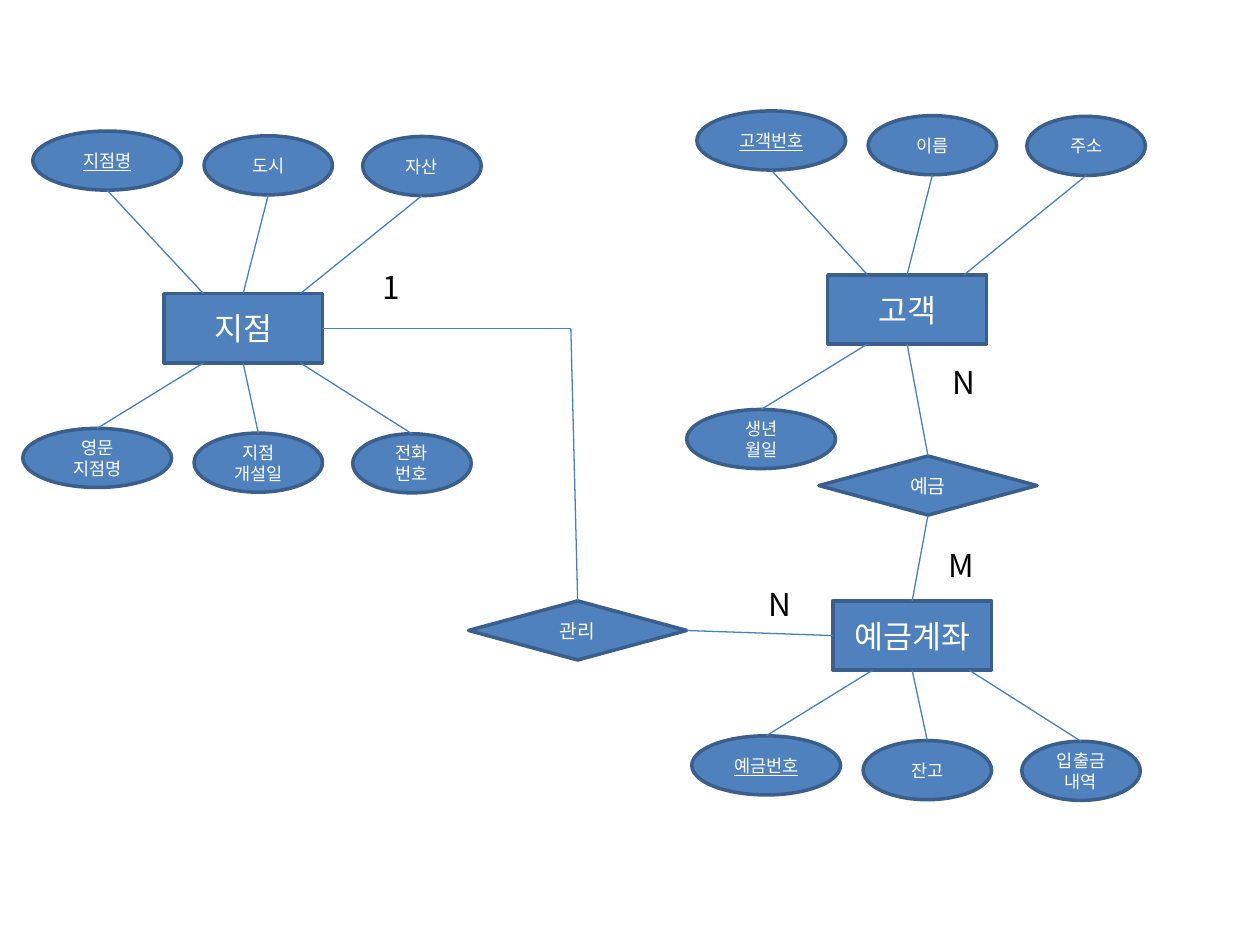
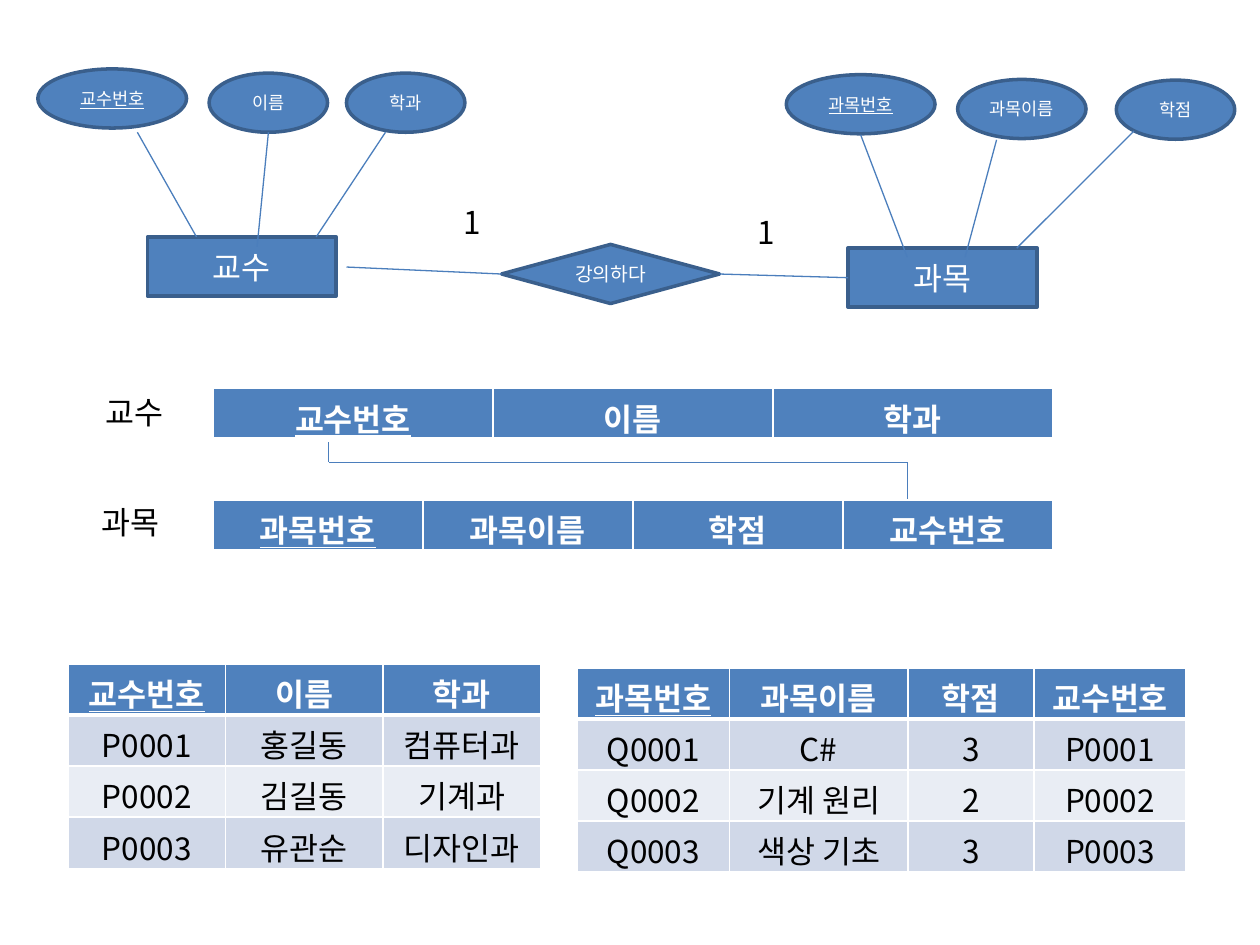
from dataclasses import dataclass
from typing import NamedTuple

from lxml import etree
from pptx import Presentation
from pptx import util as u
from pptx.dml.color import RGBColor
from pptx.enum import shapes, text
from pptx.oxml.ns import qn


@dataclass(frozen=True)
class Theme:
    font: str = "Noto Sans CJK KR"
    fill: str = "4F81BD"
    outline: str = "3A5F8C"
    link: str = "4B7EBC"
    light: str = "FFFFFF"
    dark: str = "000000"
    bands: tuple = ("D0D8E8", "E9EDF4")
    large: float = 18
    medium: float = 11
    small: float = 10
    outline_width: float = 2
    link_width: float = 0.75
    rule: float = 1
    header_rule: float = 3


THEME = Theme()
TOP, LEFT, BOTTOM, RIGHT = range(4)
ELLIPSE_HEIGHT = 33.8
ROW_HEIGHT = 29.2
SPOKE_SPOTS = (0.25, 0.5, 0.86)  # where attribute lines meet an entity's side


class Point(NamedTuple):
    x: float
    y: float


class Side(NamedTuple):
    """The middle of one side of a shape."""
    shape: object
    site: int


class Slot(NamedTuple):
    """Place of an ellipse within its row."""
    dx: float
    dy: float
    width: float


SLOTS = (Slot(0, 0, 85), Slot(97.9, 2.7, 73.4), Slot(188.6, 3.1, 67.7))
NARROW_SLOTS = (Slot(0, 0, 85), Slot(97.9, 2.4, 67.7), Slot(176.4, 2.4, 67.7))


@dataclass(frozen=True)
class Node:
    words: str
    left: float
    top: float
    width: float
    height: float
    preset: shapes.MSO_SHAPE
    size: float
    key: bool = False


@dataclass(frozen=True)
class AttributeRow:
    left: float
    top: float
    words: tuple
    key: bool = True
    slots: tuple = SLOTS

    def nodes(self) -> list[Node]:
        return [Node(words, self.left + slot.dx, self.top + slot.dy, slot.width,
                     ELLIPSE_HEIGHT, shapes.MSO_SHAPE.OVAL, THEME.small,
                     self.key and index == 0)
                for index, (words, slot) in enumerate(zip(self.words, self.slots))]


@dataclass(frozen=True)
class Grid:
    left: float
    top: float
    columns: tuple
    rows: tuple
    keys: int = 1


def entity(words: str, left: float, top: float, width: float = 90.7,
           height: float = 39.6) -> Node:
    return Node(words, left, top, width, height,
                shapes.MSO_SHAPE.RECTANGLE, THEME.large)


def relation(words: str, left: float, top: float) -> Node:
    return Node(words, left, top, 124.6, 33.8, shapes.MSO_SHAPE.DIAMOND, THEME.medium)


def write(frame, words: str, size: float, color: str, centred: bool = True,
          bold: bool = False, underline: bool = False) -> None:
    frame.text = words
    for para in frame.paragraphs:
        para.alignment = text.PP_ALIGN.CENTER if centred else text.PP_ALIGN.LEFT
        for span in para.runs:
            font = span.font
            font.name, font.size = THEME.font, u.Pt(size)
            font.bold, font.underline = bold, underline
            font.color.rgb = RGBColor.from_string(color)
            east_asian = etree.SubElement(font._element, qn("a:ea"))
            east_asian.set("typeface", THEME.font)


def draw_node(page, node: Node):
    shape = page.shapes.add_shape(
        node.preset, *map(u.Pt, (node.left, node.top, node.width, node.height)))
    shape.shadow.inherit = False
    shape.fill.solid()
    shape.fill.fore_color.rgb = RGBColor.from_string(THEME.fill)
    shape.line.color.rgb = RGBColor.from_string(THEME.outline)
    shape.line.width = u.Pt(THEME.outline_width)
    shape.text_frame.vertical_anchor = text.MSO_ANCHOR.MIDDLE
    write(shape.text_frame, node.words, node.size, THEME.light, underline=node.key)
    return shape


def draw_label(page, words: str, left: float, top: float, width: float = 22.3) -> None:
    box = page.shapes.add_textbox(*map(u.Pt, (left, top, width, 29)))
    box.text_frame.word_wrap = True
    box.text_frame.auto_size = text.MSO_AUTO_SIZE.SHAPE_TO_FIT_TEXT
    write(box.text_frame, words, THEME.large, THEME.dark, centred=False)


def draw_link(page, begin: Point | Side, end: Point | Side) -> None:
    """Draw a straight line, joined to a shape wherever an end is a Side."""
    places = [Point(0, 0) if isinstance(spot, Side) else spot for spot in (begin, end)]
    connector = page.shapes.add_connector(
        shapes.MSO_CONNECTOR.STRAIGHT, *(u.Pt(value) for place in places for value in place))
    if isinstance(begin, Side):
        connector.begin_connect(begin.shape, begin.site)
    if isinstance(end, Side):
        connector.end_connect(end.shape, end.site)
    connector.line.color.rgb = RGBColor.from_string(THEME.link)
    connector.line.width = u.Pt(THEME.link_width)
    etree.SubElement(connector._element.spPr, qn("a:effectLst"))


def draw_row(page, row: AttributeRow) -> None:
    for node in row.nodes():
        draw_node(page, node)


def draw_spokes(page, owner: Node, shape, row: AttributeRow) -> None:
    """Join each attribute of the row to the facing side of its entity."""
    above = row.top < owner.top
    for node, spot in zip(row.nodes(), SPOKE_SPOTS):
        start = Point(node.left + node.width / 2, node.top + (node.height if above else 0))
        if spot == 0.5:
            end = Side(shape, TOP if above else BOTTOM)
        else:
            end = Point(owner.left + spot * owner.width,
                        owner.top + (0 if above else owner.height))
        draw_link(page, start, end)


def rule_cell(cell, widths: dict[str, float]) -> None:
    """Add cell borders ahead of the fill, in schema order."""
    properties = cell._tc.get_or_add_tcPr()
    for index, (side, width) in enumerate(widths.items()):
        border = etree.Element(qn(f"a:ln{side}"), w=str(u.Pt(width)))
        fill = etree.SubElement(border, qn("a:solidFill"))
        etree.SubElement(fill, qn("a:srgbClr"), val=THEME.light)
        properties.insert(index, border)


def draw_grid(page, grid: Grid) -> None:
    table = page.shapes.add_table(
        len(grid.rows), len(grid.columns), u.Pt(grid.left), u.Pt(grid.top),
        u.Pt(sum(grid.columns)), u.Pt(ROW_HEIGHT * len(grid.rows))).table
    for column, width in zip(table.columns, grid.columns):
        column.width = u.Pt(width)
    for y, values in enumerate(grid.rows):
        header = y == 0
        for x, words in enumerate(values):
            cell = table.cell(y, x)
            write(cell.text_frame, words, THEME.large,
                  THEME.light if header else THEME.dark,
                  bold=header, underline=header and x < grid.keys)
            cell.fill.solid()
            color = THEME.fill if header else THEME.bands[(y - 1) % 2]
            cell.fill.fore_color.rgb = RGBColor.from_string(color)
            rule_cell(cell, {"L": THEME.rule, "R": THEME.rule,
                             "T": THEME.header_rule if y == 1 else THEME.rule,
                             "B": THEME.header_rule if header else THEME.rule})


def build_bank(page) -> None:
    branch = entity("지점", 93.6, 167.8)
    customer = entity("고객", 473, 157)
    account = entity("예금계좌", 475.9, 343.4)
    families = (
        (branch, (AttributeRow(18.7, 74.9, ("지점명", "도시", "자산")),
                  AttributeRow(13, 244.8, ("영문\n지점명", "지점\n개설일", "전화\n번호"), False))),
        (customer, (AttributeRow(398.2, 63.4, ("고객번호", "이름", "주소")),
                    AttributeRow(392.4, 234, ("생년\n월일",), False))),
        (account, (AttributeRow(395.3, 420.5, ("예금번호", "잔고", "입출금\n내역")),)),
    )
    drawn = {}
    for owner, rows in families:
        drawn[owner] = draw_node(page, owner)
        for row in rows:
            draw_row(page, row)
            draw_spokes(page, owner, drawn[owner], row)

    manages = draw_node(page, relation("관리", 267.8, 343.4))
    deposits = draw_node(page, relation("예금", 468, 260.6))
    corner = Point(326.2, 187.6)
    for begin, end in (
        (Side(drawn[branch], RIGHT), corner),
        (corner, Side(manages, TOP)),
        (Side(manages, RIGHT), Side(drawn[account], LEFT)),
        (Side(drawn[customer], BOTTOM), Side(deposits, TOP)),
        (Side(deposits, BOTTOM), Side(drawn[account], TOP)),
    ):
        draw_link(page, begin, end)
    for words, left, top in (("1", 211.7, 149.8), ("N", 432, 330.5),
                             ("N", 537.1, 203.8), ("M", 535, 308.2)):
        draw_label(page, words, left, top)


def build_lecture(page) -> None:
    draw_node(page, entity("교수", 84.2, 135.4, 108, 33.8))
    course = draw_node(page, entity("과목", 484.6, 141.8, 108, 33.8))
    draw_row(page, AttributeRow(21.6, 39.4, ("교수번호", "이름", "학과"), slots=NARROW_SLOTS))
    draw_row(page, AttributeRow(449.3, 42.7, ("과목번호", "과목이름", "학점")))
    teaches = draw_node(page, relation("강의하다", 286.6, 139.7))
    draw_link(page, Point(198, 152.6), Side(teaches, LEFT))
    draw_link(page, Side(teaches, RIGHT), Side(course, LEFT))

    spokes = (
        (Point(78.5, 75.6), Point(112.3, 135.4)),
        (Point(153.4, 75.6), Point(146.9, 141.1)),
        (Point(220.3, 75.6), Point(180.7, 135.4)),
        (Point(491.8, 77), Point(518.4, 146.9)),
        (Point(569.5, 79.9), Point(551.5, 146.9)),
        (Point(648, 74.9), Point(581, 141.8)),
    )
    foreign_key = (Point(187.9, 249.8), Point(187.9, 264.2),
                   Point(518.4, 264.2), Point(518.4, 285.8))
    for begin, end in (*spokes, *zip(foreign_key, foreign_key[1:])):
        draw_link(page, begin, end)

    for words, left, top, width in (("1", 257.8, 112.3, 22.3), ("1", 425.5, 118.1, 22.3),
                                    ("교수", 53.3, 221, 54), ("과목", 51.1, 283.7, 54)):
        draw_label(page, words, left, top, width)

    professor = ("교수번호", "이름", "학과")
    subject = ("과목번호", "과목이름", "학점", "교수번호")
    for grid in (
        Grid(121.7, 221.8, (160,) * 3, (professor,)),
        Grid(121.7, 285.8, (120,) * 4, (subject,)),
        Grid(38.9, 379.4, (90,) * 3, (
            professor,
            ("P0001", "홍길동", "컴퓨터과"),
            ("P0002", "김길동", "기계과"),
            ("P0003", "유관순", "디자인과"))),
        Grid(329.8, 381.6, (87, 102, 72, 87), (
            subject,
            ("Q0001", "C#", "3", "P0001"),
            ("Q0002", "기계 원리", "2", "P0002"),
            ("Q0003", "색상 기초", "3", "P0003"))),
    ):
        draw_grid(page, grid)


def main() -> None:
    deck = Presentation()
    deck.slide_width, deck.slide_height = u.Pt(720), u.Pt(540)
    for build in (build_bank, build_lecture):
        build(deck.slides.add_slide(deck.slide_layouts[6]))
    deck.save("out.pptx")


if __name__ == "__main__":
    main()
